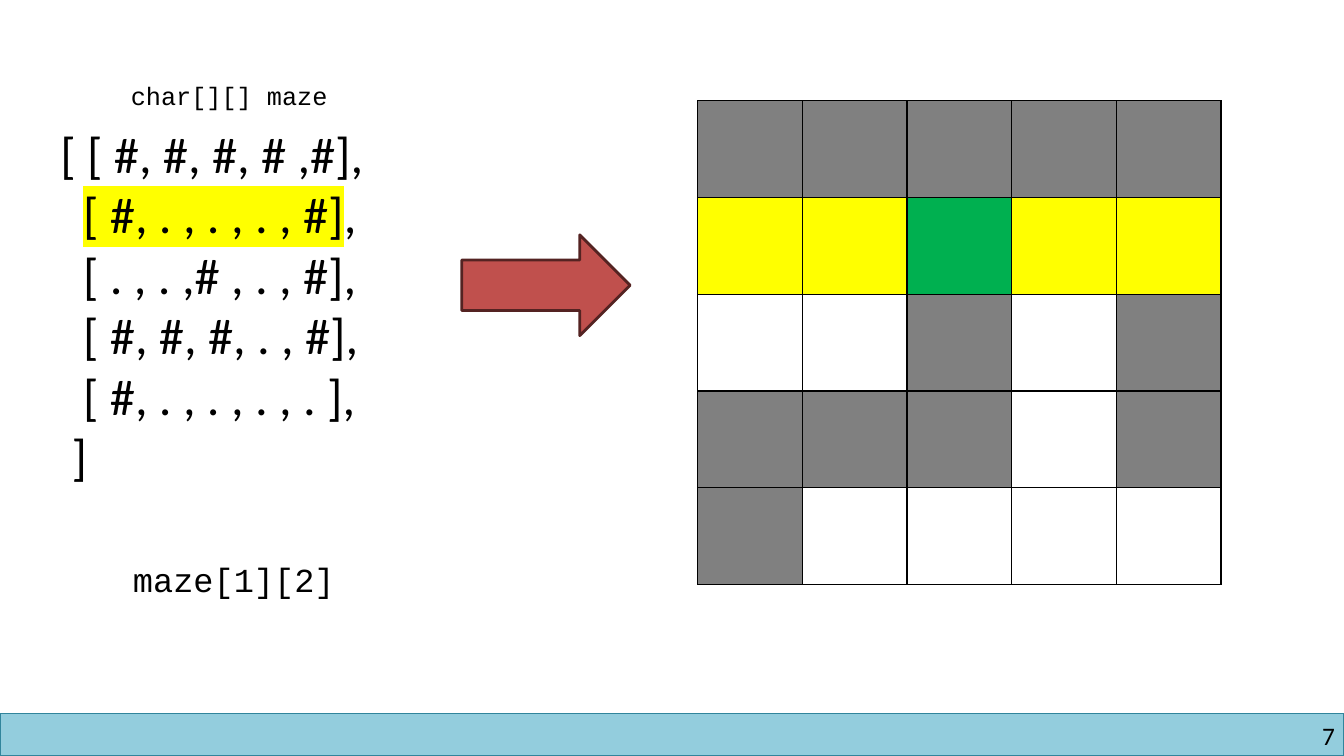
from lxml.etree import SubElement
from pptx import Presentation
from pptx.dml.color import RGBColor
from pptx.enum.shapes import MSO_SHAPE
from pptx.enum.text import MSO_AUTO_SIZE, PP_ALIGN
from pptx.oxml.ns import qn
from pptx.util import Inches, Pt

BLACK = "000000"
YELLOW = "FFFF00"
CELL_COLOURS = {"#": "808080", ".": "FFFFFF", "y": YELLOW, "g": "00B050"}
MAZE_ROWS = ["#####", "yygyy", "..#.#", "###.#", "#...."]
SPACE_WIDTH = 0.113
MAZE_LINES = [
    (0, [("[ [ #, #, #, # ,#],", None)]),
    (2, [("[ #, . , . , . , #]", YELLOW), (",", None)]),
    (2, [("[ . , . ,# , . , #],", None)]),
    (2, [("[ #, #, #, . , #],", None)]),
    (2, [("[ #, . , . , . , . ],", None)]),
    (1, [("]", None)]),
]


def colour(value):
    return RGBColor.from_string(value)


def inches(box):
    return [Inches(length) for length in box]


def add_span(para, text, size, font, highlight=None):
    span = para.add_run()
    span.text = text
    for name, value in {"size": Pt(size), "name": font}.items():
        setattr(span.font, name, value)
    span.font.color.rgb = colour(BLACK)
    if highlight:
        fill = span.font._element.find(qn("a:solidFill"))
        mark = SubElement(span.font._element, qn("a:highlight"))
        SubElement(mark, qn("a:srgbClr"), val=highlight)
        fill.addnext(mark)


def add_text(page, box, lines, size, font, **frame_format):
    frame = page.shapes.add_textbox(*inches(box)).text_frame
    settings = {"word_wrap": False, "auto_size": MSO_AUTO_SIZE.SHAPE_TO_FIT_TEXT}
    for name, value in {**settings, **frame_format}.items():
        setattr(frame, name, value)
    for index, (indent, spans) in enumerate(lines):
        para = frame.paragraphs[0] if index == 0 else frame.add_paragraph()
        if indent:
            properties = para._p.get_or_add_pPr()
            properties.set("marL", str(Inches(indent * SPACE_WIDTH)))
            properties.set("indent", "0")
        for text, highlight in spans:
            add_span(para, text, size, font, highlight)
    return frame


def add_block(page, kind, box, fill, line, width):
    shape = page.shapes.add_shape(kind, *inches(box))
    shape.shadow.inherit = False
    shape.fill.solid()
    shape.fill.fore_color.rgb = colour(fill)
    shape.line.color.rgb = colour(line)
    shape.line.width = Pt(width)


def add_footer(page, box, number):
    left, top, width, height = box
    add_block(page, MSO_SHAPE.RECTANGLE, box, "93CDDD", "31859C", 1)
    margins = {f"margin_{side}": 0 for side in ("left", "top", "right", "bottom")}
    number_box = (left + width - 3.16, top + 0.07, 3.07, 0.3)
    frame = add_text(page, number_box, [(0, [(number, None)])], 18, "Calibri",
                     **{**margins, "word_wrap": True})
    frame.paragraphs[0].alignment = PP_ALIGN.RIGHT


def add_cell_borders(cell):
    properties = cell._tc.get_or_add_tcPr()
    for side in ("lnL", "lnR", "lnT", "lnB"):
        line = SubElement(properties, qn(f"a:{side}"), w=str(Pt(1)))
        fill = SubElement(line, qn("a:solidFill"))
        SubElement(fill, qn("a:srgbClr"), val=BLACK)


def add_maze_grid(page, box):
    rows, columns = len(MAZE_ROWS), len(MAZE_ROWS[0])
    table = page.shapes.add_table(rows, columns, *inches(box)).table
    table.first_row = table.horz_banding = False
    for row, symbols in enumerate(MAZE_ROWS):
        for column, symbol in enumerate(symbols):
            cell = table.cell(row, column)
            add_cell_borders(cell)
            cell.fill.solid()
            cell.fill.fore_color.rgb = colour(CELL_COLOURS[symbol])


def add_maze_code(page, box):
    left, top, width, height = box
    add_text(page, (left, top + 0.42, width, 3.74), MAZE_LINES, 36, "Calibri")
    add_text(page, (left + 0.7, top, 2.16, 0.4),
             [(0, [("char[][] maze", None)])], 18, "Courier New")
    add_text(page, (left + 0.72, top + height - 0.5, 2.22, 0.5),
             [(0, [("maze[1][2]", None)])], 24, "Courier New")


def main():
    deck = Presentation()
    deck.slide_width, deck.slide_height = Inches(13.33), Inches(7.5)
    page = deck.slides.add_slide(deck.slide_layouts[6])
    add_footer(page, (0, 7.08, 13.33, 0.42), "7")
    add_maze_grid(page, (6.92, 1, 5.19, 4.8))
    add_maze_code(page, (0.5, 0.75, 3.57, 5.25))
    add_block(page, MSO_SHAPE.RIGHT_ARROW, (4.58, 2.33, 1.67, 1), "C0504D", "542322", 2)
    deck.save("out.pptx")


if __name__ == "__main__":
    main()
